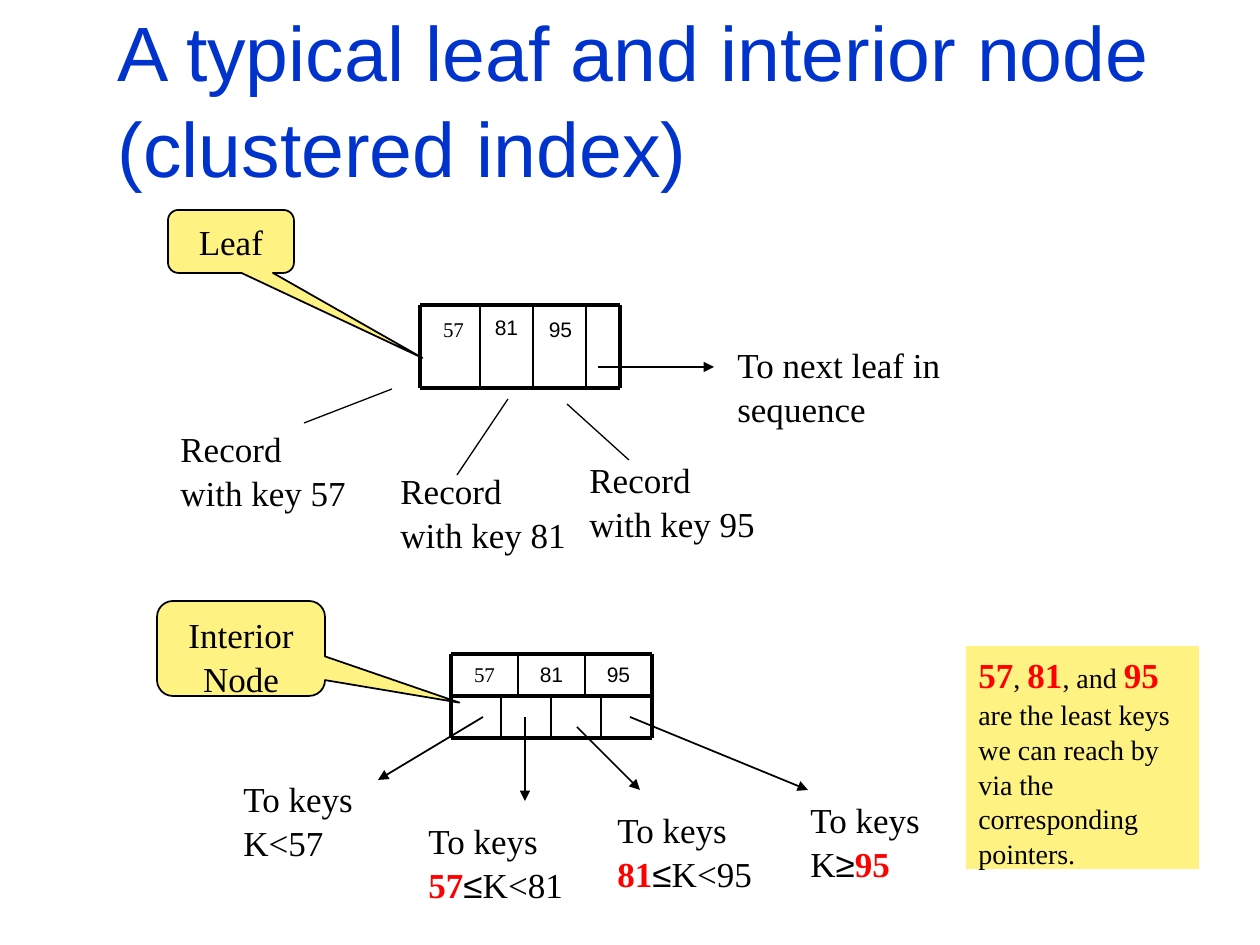
from dataclasses import dataclass
from itertools import pairwise
from lxml.etree import SubElement
from pptx import Presentation
from pptx.dml.color import RGBColor
from pptx.enum.shapes import MSO_CONNECTOR, MSO_SHAPE
from pptx.enum.text import MSO_ANCHOR, MSO_AUTO_SIZE, PP_ALIGN
from pptx.oxml.ns import qn
from pptx.util import Emu, Pt


@dataclass(frozen=True)
class Theme:
    blue: str = "0033CC"
    black: str = "000000"
    red: str = "FF0000"
    cream: str = "FEF282"
    sans: str = "Arial"
    serif: str = "Times New Roman"
    head: int = 44
    body: int = 20
    note: int = 16
    cell: int = 12
    thick: float = 2.25
    thin: float = 1
    fine: float = 0.75
    pitch: float = 1.04


def px(num):
    return Emu(num * 914400 // 126)


class Board:
    def __init__(self, deck, look):
        self.look = look
        self.slide = deck.slides.add_slide(deck.slide_layouts[5])
        self.shapes = self.slide.shapes

    def style(self, kind):
        """Return size, font, colour and bold for a kind of run."""
        t = self.look
        return {
            "head": (t.head, t.sans, t.blue, False),
            "body": (t.body, t.serif, t.black, False),
            "sign": (t.body, t.sans, t.black, False),
            "key": (t.body, t.serif, t.red, True),
            "note": (t.note, t.serif, t.black, False),
            "cell": (t.cell, t.sans, t.black, False),
            "first": (t.cell, t.serif, t.black, False),
        }[kind]

    def set_text(self, frame, paras, align=PP_ALIGN.LEFT, wrap=True,
                 anchor=MSO_ANCHOR.TOP):
        frame.word_wrap = wrap
        frame.auto_size = MSO_AUTO_SIZE.NONE
        frame.vertical_anchor = anchor
        for i, runs in enumerate(paras):
            para = frame.add_paragraph() if i else frame.paragraphs[0]
            para.alignment = align
            para.line_spacing = self.look.pitch
            for text, kind in runs:
                run = para.add_run()
                run.text = text
                font = run.font
                size, font.name, tint, font.bold = self.style(kind)
                font.size = Pt(size)
                font.color.rgb = RGBColor.from_string(tint)

    def title(self, text, *box):
        head = self.shapes.title
        head.left, head.top, head.width, head.height = map(px, box)
        self.set_text(head.text_frame, [[(text, "head")]],
                      anchor=MSO_ANCHOR.MIDDLE)

    def label(self, paras, *box):
        text = self.shapes.add_textbox(*map(px, box))
        self.set_text(text.text_frame, paras, wrap=False)

    def cell(self, text, kind, *box):
        text_box = self.shapes.add_textbox(*map(px, box))
        self.set_text(text_box.text_frame, [[(text, kind)]], PP_ALIGN.CENTER)

    def panel(self, form, paras, align, *box):
        shape = self.shapes.add_shape(form, *map(px, box))
        shape.shadow.inherit = False
        shape.fill.solid()
        shape.fill.fore_color.rgb = RGBColor.from_string(self.look.cream)
        shape.line.fill.background()
        self.set_text(shape.text_frame, paras, align)
        return shape

    def callout(self, text, tip, *box):
        shape = self.panel(MSO_SHAPE.ROUNDED_RECTANGULAR_CALLOUT,
                           [[(text, "body")]], PP_ALIGN.CENTER, *box)
        shape.adjustments[0], shape.adjustments[1] = tip
        shape.line.color.rgb = RGBColor.from_string(self.look.black)
        shape.line.width = Pt(self.look.thin)

    def line(self, ends, width, arrow=False):
        link = self.shapes.add_connector(MSO_CONNECTOR.STRAIGHT, *map(px, ends))
        link.line.color.rgb = RGBColor.from_string(self.look.black)
        link.line.width = Pt(width)
        props = link._element.spPr
        if arrow:
            SubElement(props.get_or_add_ln(), qn("a:tailEnd"), type="triangle")
        SubElement(props, qn("a:effectLst"))

    def frame(self, left, right, rows, rules):
        """Draw the heavy outline: level rules, and sides row by row."""
        for y in rules:
            self.line((left, y, right, y), self.look.thick)
        for top, low in pairwise(rows):
            for x in (left, right):
                self.line((x, top, x, low), self.look.thick)

    def bars(self, spots, top, low):
        for x in spots:
            self.line((x, top, x, low), self.look.thin)


KEYS = (("57", "first"), ("81", "cell"), ("95", "cell"))


def interior(board):
    left, wide, high = 451, 67, 42
    right = left + 3 * wide
    top, mid, low = rows = [654 + i * high for i in range(3)]

    # Keys above, pointers below
    for i, (text, kind) in enumerate(KEYS):
        board.cell(text, kind, left + i * wide, top, wide, high)
    board.frame(left, right, rows, rows)
    board.bars([left + i * wide for i in (1, 2)], top, mid)
    board.bars([left + i * (right - left) // 4 for i in (1, 2, 3)], mid, low)
    for ends in ((483, 717, 378, 780), (525, 717, 525, 801),
                 (577, 727, 640, 790), (630, 717, 808, 790)):
        board.line(ends, board.look.thin, arrow=True)

    # Key ranges
    for x, y, wide, runs in (
        (231, 770, 137, [("K<57", "body")]),
        (416, 812, 168, [("57", "key"), ("≤", "sign"), ("K<81", "body")]),
        (605, 801, 168, [("81", "key"), ("≤", "sign"), ("K<95", "body")]),
        (798, 791, 137, [("K", "body"), ("≥", "sign"), ("95", "key")]),
    ):
        board.label([[("To keys", "body")], runs], x, y, wide, 97)
    board.callout("Interior Node", (1.3, 0.57), 157, 601, 168, 95)

    # Side note
    board.panel(MSO_SHAPE.RECTANGLE, [[
        ("57", "key"), (", ", "note"), ("81", "key"), (", and ", "note"),
        ("95", "key"),
        (" are the least keys we can reach by via the corresponding pointers.",
         "note"),
    ]], PP_ALIGN.LEFT, 966, 646, 233, 223)


def leaf(board):
    left, right, top, mid, low = 420, 620, 305, 346, 388

    # Keys and outline
    for (text, kind), x, y in zip(KEYS, (420, 473, 527), (309, 307, 309)):
        board.cell(text, kind, x, y, 67, 42)
    board.frame(left, right, (top, mid, low), (top, low))
    board.bars((480, 533, 586), top, low)
    board.line((598, 367, 714, 367), board.look.thin, arrow=True)

    # Records and next leaf
    for key, x, y in (("57", 168, 420), ("81", 388, 462), ("95", 577, 451)):
        board.label([[("Record", "body")], [(f"with key {key}", "body")]],
                    x, y, 190, 97)
    board.label([[("To next leaf in", "body")], [("sequence", "body")]],
                725, 336, 239, 97)
    board.callout("Leaf", (1.52, 1.85), 168, 210, 126, 63)
    for ends in ((304, 423, 392, 389), (457, 475, 508, 399), (629, 460, 567, 404)):
        board.line(ends, board.look.fine)


def main():
    deck = Presentation()
    deck.slide_width, deck.slide_height = px(1260), px(945)
    board = Board(deck, Theme())
    board.title("A typical leaf and interior node (clustered index)",
                105, 21, 1071, 152)
    interior(board)
    leaf(board)
    deck.save("out.pptx")


if __name__ == "__main__":
    main()
